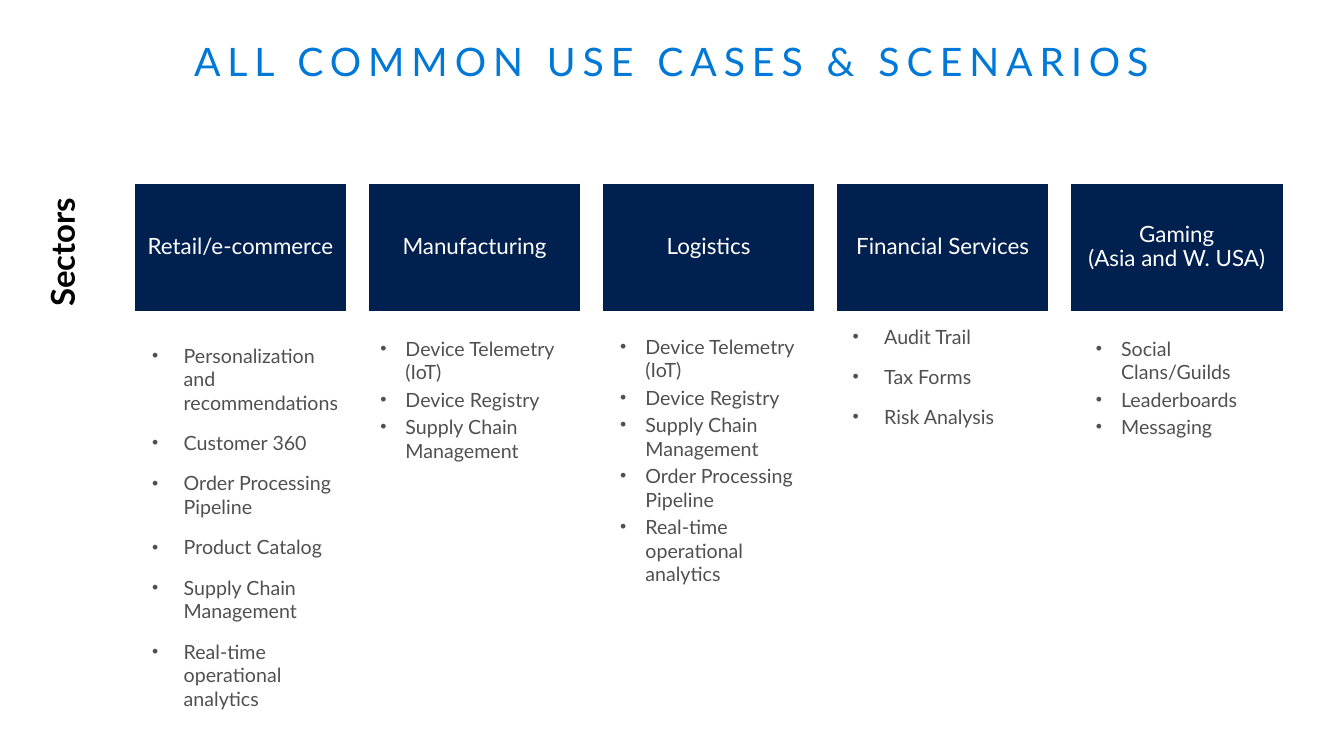
from lxml import etree
from pptx import Presentation
from pptx.dml.color import RGBColor
from pptx.enum.shapes import MSO_SHAPE
from pptx.enum.text import MSO_ANCHOR, PP_ALIGN
from pptx.oxml.ns import qn
from pptx.util import Pt

RECT = MSO_SHAPE.RECTANGLE
TOP, MIDDLE = MSO_ANCHOR.TOP, MSO_ANCHOR.MIDDLE
LEFT, CENTER, RIGHT = PP_ALIGN.LEFT, PP_ALIGN.CENTER, PP_ALIGN.RIGHT
FACE, BLUE, NAVY, GRAY = "Lato", "0078D7", "002050", "505050"
WHITE, BLACK = "FFFFFF", "000000"

TITLE = "ALL COMMON USE CASES & SCENARIOS"
SIDE = "Sectors"
WIDE = {"gap": 12, "hang": 22.5}
TIGHT = {"gap": 2.8, "hang": 18}
# name, list frame (left, top, width, height), list style, items
SECTORS = [
    ("Retail/e-commerce", (97.2, 238.3, 157.7, 278.6), WIDE,
     ["Personalization and recommendations", "Customer 360",
      "Order Processing Pipeline", "Product Catalog",
      "Supply Chain Management", "Real-time operational analytics"]),
    ("Manufacturing", (255.6, 233.3, 162, 105.8), TIGHT,
     ["Device Telemetry (IoT)", "Device Registry", "Supply Chain Management"]),
    ("Logistics", (427, 231.8, 162, 198), TIGHT,
     ["Device Telemetry (IoT)", "Device Registry", "Supply Chain Management",
      "Order Processing Pipeline", "Real-time operational analytics"]),
    ("Financial Services", (597.6, 224.6, 151.2, 90), WIDE,
     ["Audit Trail", "Tax Forms", "Risk Analysis"]),
    ("Gaming\v(Asia and W. USA)", (766.8, 233.3, 156.2, 89.3), TIGHT,
     ["Social Clans/Guilds", "Leaderboards", "Messaging"]),
]
CARD_X, CARD_Y, CARD_W, CARD_H, STEP = 95.8, 131, 152, 91.4, 167.2


def color(code):
    """Turn a hex string into a colour."""
    return RGBColor.from_string(code)


def bullet(para, hang):
    """Give a paragraph a round bullet with a hanging indent."""
    props = para._p.get_or_add_pPr()
    props.set("marL", str(Pt(22.5)))
    props.set("indent", str(-Pt(hang)))
    tint = etree.SubElement(props, qn("a:buClr"))
    etree.SubElement(tint, qn("a:srgbClr"), val=GRAY)
    etree.SubElement(props, qn("a:buSzPct"), val="90000")
    etree.SubElement(props, qn("a:buFont"), typeface="Arial")
    etree.SubElement(props, qn("a:buChar"), char="•")


def write(shape, lines, size, tint, align=LEFT, anchor=TOP, pad=(11.5, 7.2),
          bold=False, line=None, gap=0, hang=0, track=0):
    """Fill a shape with formatted paragraphs."""
    frame = shape.text_frame
    frame.word_wrap = True
    frame.vertical_anchor = anchor
    frame.margin_left = frame.margin_right = Pt(pad[0])
    frame.margin_top = frame.margin_bottom = Pt(pad[1])
    for i, text in enumerate(lines):
        para = frame.add_paragraph() if i else frame.paragraphs[0]
        para.text = text
        if hang:
            bullet(para, hang)
        para.alignment = align
        para.space_before = Pt(gap if i else 0)
        if line:
            para.line_spacing = line
        for run in para.runs:
            font = run.font
            font.name, font.size, font.bold = FACE, Pt(size), bold
            font.color.rgb = color(tint)
            if track:
                run._r.get_or_add_rPr().set("spc", str(track * 100))


def box(slide, *area):
    """Add a text box given in points."""
    return slide.shapes.add_textbox(*map(Pt, area))


def card(slide, col, name):
    """Add the heading card of one sector."""
    area = CARD_X + col * STEP, CARD_Y, CARD_W, CARD_H
    shape = slide.shapes.add_shape(RECT, *map(Pt, area))
    shape.shadow.inherit = False
    shape.fill.solid()
    shape.fill.fore_color.rgb = color(NAVY)
    shape.line.color.rgb = color(WHITE)
    shape.line.width = Pt(0.85)
    write(shape, [name], 16, WHITE, align=CENTER, anchor=MIDDLE,
          pad=(5, 5), line=0.9)


def main():
    """Build the slide and save it."""
    deck = Presentation()
    deck.slide_width, deck.slide_height = Pt(960), Pt(540)
    slide = deck.slides.add_slide(deck.slide_layouts[6])
    write(box(slide, 20.9, 23, 918, 70.6), [TITLE], 28, BLUE,
          align=CENTER, line=0.9, track=5)
    for col, (name, area, style, items) in enumerate(SECTORS):
        card(slide, col, name)
        write(box(slide, *area), items, 14, GRAY, **style)
    side = box(slide, -8.6, 157, 108.7, 48.2)
    side.rotation = 270
    write(side, [SIDE], 23.5, BLACK, align=RIGHT, pad=(14.4, 11.5),
          bold=True, line=0.9)
    deck.save("out.pptx")


if __name__ == "__main__":
    main()
